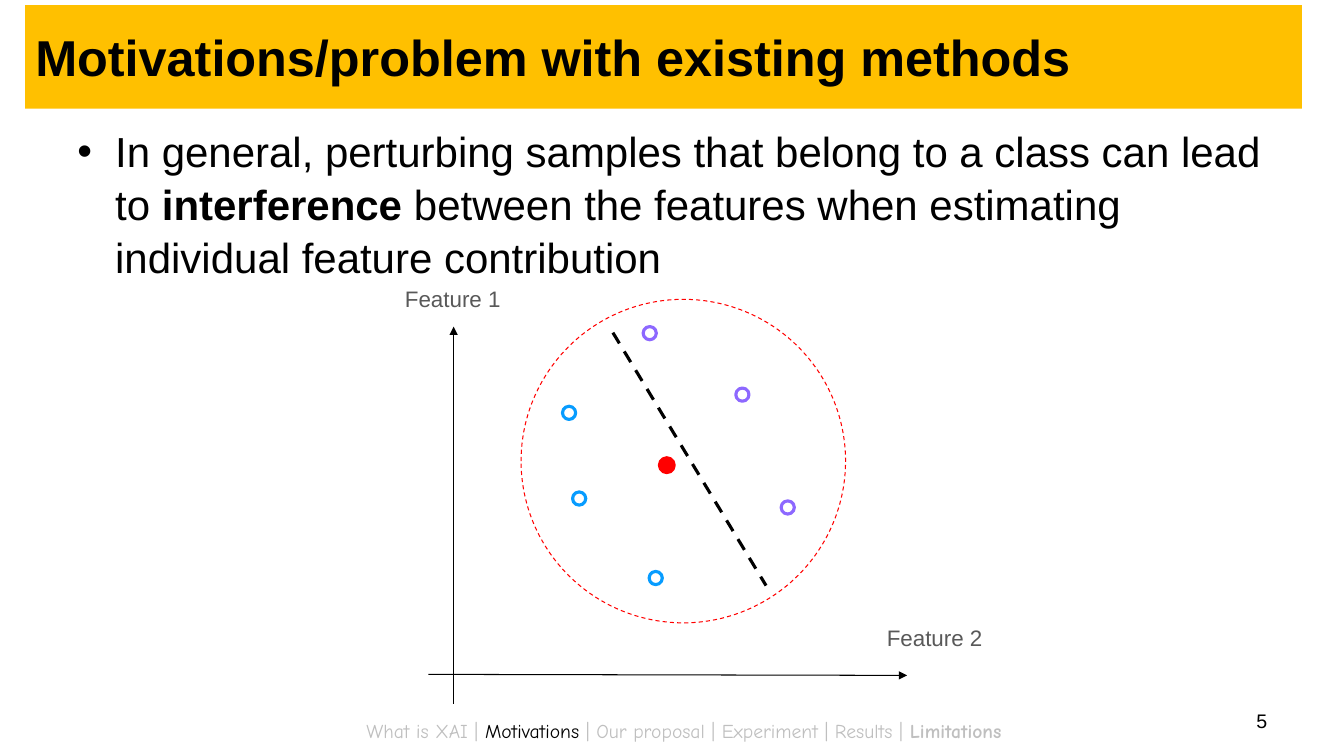
from typing import NamedTuple

from pptx import Presentation
from pptx.dml.color import RGBColor
from pptx.enum import dml, shapes, text
from pptx.oxml.ns import qn
from pptx.util import Pt

BLACK, GREY, PALE = "000000", "595959", "BFBFBF"
RED, BLUE, PURPLE, AMBER = "FF0000", "079CFF", "8D68FF", "FFC000"
LEFT, CENTER, RIGHT = text.PP_ALIGN.LEFT, text.PP_ALIGN.CENTER, text.PP_ALIGN.RIGHT
TOP, MIDDLE = text.MSO_ANCHOR.TOP, text.MSO_ANCHOR.MIDDLE


class Box(NamedTuple):
    left: float
    top: float
    width: float
    height: float


class Run(NamedTuple):
    wording: str
    color: str = BLACK
    bold: bool = False


class Dot(NamedTuple):
    left: float
    top: float
    color: str


class Segment(NamedTuple):
    start: tuple[float, float]
    end: tuple[float, float]
    width: float
    dashed: bool = False
    arrow: bool = False


class Label(NamedTuple):
    wording: str
    box: Box


TITLE_BOX = Box(18, 3.6, 912, 74)
NEIGHBOURHOOD = Box(372.2, 213.8, 231.8, 231.1)
SAMPLE = Box(470.9, 326.9, 10.8, 10.8)
DOT_SIZE = 9.4
DOTS = [
    Dot(401.8, 290.2, BLUE),
    Dot(459.4, 233.3, PURPLE),
    Dot(463.7, 408.2, BLUE),
    Dot(525.6, 277.2, PURPLE),
    Dot(409, 351.4, BLUE),
    Dot(558, 357.8, PURPLE),
]
BOUNDARY = Segment((437.8, 237.6), (547.2, 418.3), 2.25, dashed=True)
AXES = [
    Segment((324, 502.6), (324, 233.3), 0.75, arrow=True),
    Segment((306, 481.7), (648, 482.4), 0.75, arrow=True),
]
AXIS_LABELS = [
    Label("Feature 1", Box(282.2, 200.2, 108, 26.6)),
    Label("Feature 2", Box(626.4, 442.1, 108, 26.6)),
]
CLAIM = [
    Run("In general, perturbing samples that belong to a class can lead to "),
    Run("interference", bold=True),
    Run(" between the features when estimating individual feature contribution"),
]
PROGRESS = [
    Run("What is XAI |", PALE),
    Run(" Motivations "),
    Run("| Our proposal | Experiment | Results | ", PALE),
    Run("Limitations", PALE, bold=True),
]


def rgb(code: str) -> RGBColor:
    return RGBColor.from_string(code)


def place(shape, box: Box) -> None:
    shape.left, shape.top, shape.width, shape.height = map(Pt, box)


def write(shape, runs: list[Run], *, size: float, font: str = "Arial",
          align=LEFT, anchor=TOP):
    """Fill the shape with one paragraph and return that paragraph."""
    frame = shape.text_frame
    frame.word_wrap = True
    frame.auto_size = text.MSO_AUTO_SIZE.NONE
    frame.vertical_anchor = anchor
    paragraph = frame.paragraphs[0]
    paragraph.alignment = align
    for part in runs:
        run = paragraph.add_run()
        run.text = part.wording
        run.font.name = font
        run.font.size = Pt(size)
        run.font.bold = part.bold
        run.font.color.rgb = rgb(part.color)
    return paragraph


def add_text(slide, box: Box, runs: list[Run], **style):
    return write(slide.shapes.add_textbox(*map(Pt, box)), runs, **style)


def add_bullet(paragraph, indent: float) -> None:
    properties = paragraph._p.get_or_add_pPr()
    properties.set("marL", str(Pt(indent)))
    properties.set("indent", str(Pt(-indent)))
    font = properties.makeelement(qn("a:buFont"), {"typeface": "Arial"})
    bullet = properties.makeelement(qn("a:buChar"), {"char": "•"})
    properties.extend([font, bullet])


def style_line(line, color: str, width: float, dashed: bool = False) -> None:
    line.color.rgb = rgb(color)
    line.width = Pt(width)
    if dashed:
        line.dash_style = dml.MSO_LINE.DASH


def add_circle(slide, box: Box, color: str, width: float, *,
               filled: bool = False, dashed: bool = False) -> None:
    circle = slide.shapes.add_shape(shapes.MSO_SHAPE.OVAL, *map(Pt, box))
    circle.shadow.inherit = False
    if filled:
        circle.fill.solid()
        circle.fill.fore_color.rgb = rgb(color)
    else:
        circle.fill.background()
    style_line(circle.line, color, width, dashed)


def add_segment(slide, segment: Segment) -> None:
    connector = slide.shapes.add_connector(
        shapes.MSO_CONNECTOR.STRAIGHT, *map(Pt, segment.start + segment.end))
    style_line(connector.line, BLACK, segment.width, segment.dashed)
    properties = connector._element.spPr
    if segment.arrow:
        outline = connector.line._get_or_add_ln()
        outline.append(outline.makeelement(qn("a:tailEnd"), {"type": "triangle"}))
    properties.append(properties.makeelement(qn("a:effectLst"), {}))


def add_title(slide) -> None:
    title = slide.shapes.title
    place(title, TITLE_BOX)
    title.fill.solid()
    title.fill.fore_color.rgb = rgb(AMBER)
    write(title, [Run("Motivations/problem with existing methods", bold=True)],
          size=36, anchor=MIDDLE)


def add_claim(slide) -> None:
    claim = add_text(slide, Box(48.2, 84.2, 864, 398.2), CLAIM, size=30)
    claim.line_spacing = 1.05
    claim.space_before = Pt(1.5)
    add_bullet(claim, 27)


def add_diagram(slide) -> None:
    add_circle(slide, NEIGHBOURHOOD, RED, 0.75, dashed=True)
    add_segment(slide, BOUNDARY)
    for dot in DOTS:
        add_circle(slide, Box(dot.left, dot.top, DOT_SIZE, DOT_SIZE), dot.color, 2.25)
    add_circle(slide, SAMPLE, RED, 2, filled=True)
    for axis in AXES:
        add_segment(slide, axis)
    for label in AXIS_LABELS:
        add_text(slide, label.box, [Run(label.wording, GREY)], size=16)


def add_footer(slide) -> None:
    add_text(slide, Box(688.3, 500.4, 223.9, 28.8), [Run("5")],
             size=14, align=RIGHT, anchor=MIDDLE)
    add_text(slide, Box(107.3, 509.8, 762.5, 24.5), PROGRESS,
             size=14, font="Comic Neue", align=CENTER)


def main() -> None:
    deck = Presentation()
    deck.slide_width, deck.slide_height = Pt(960), Pt(540)
    slide = deck.slides.add_slide(deck.slide_layouts[5])
    add_title(slide)
    add_claim(slide)
    add_diagram(slide)
    add_footer(slide)
    deck.save("out.pptx")


if __name__ == "__main__":
    main()
